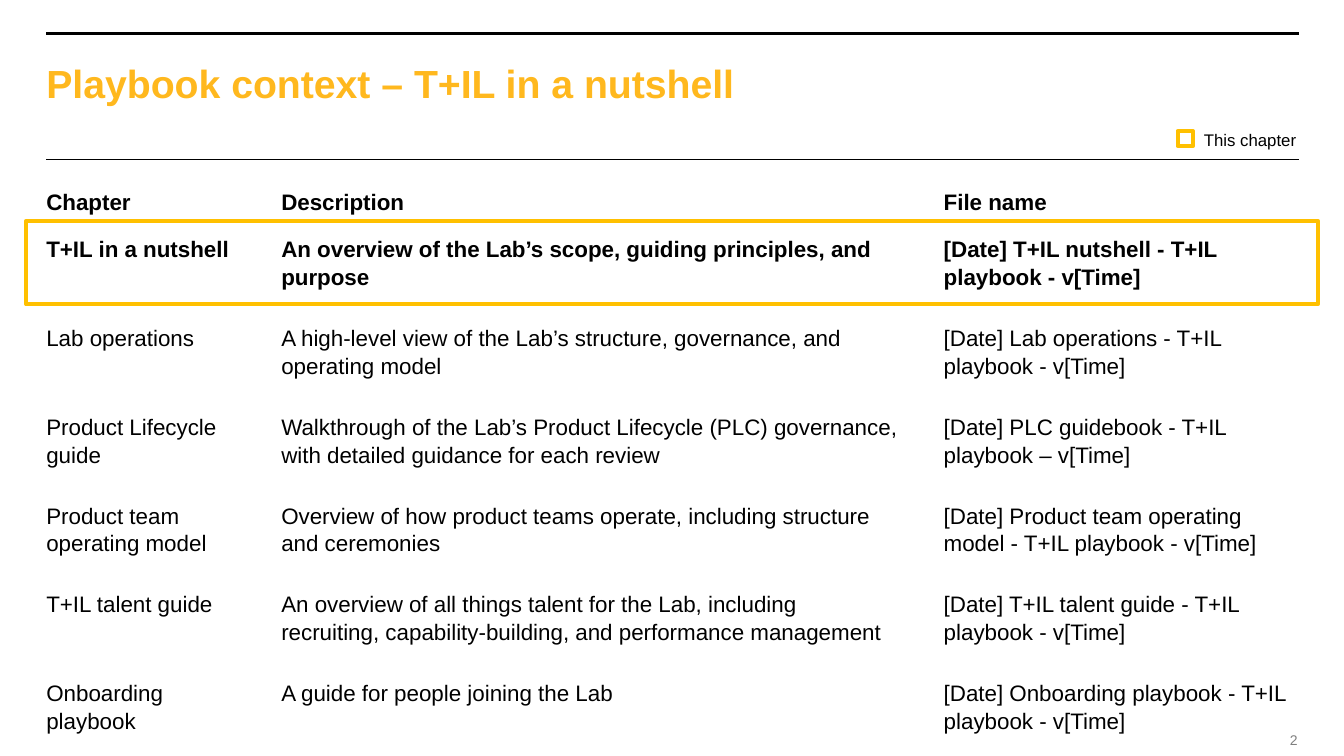
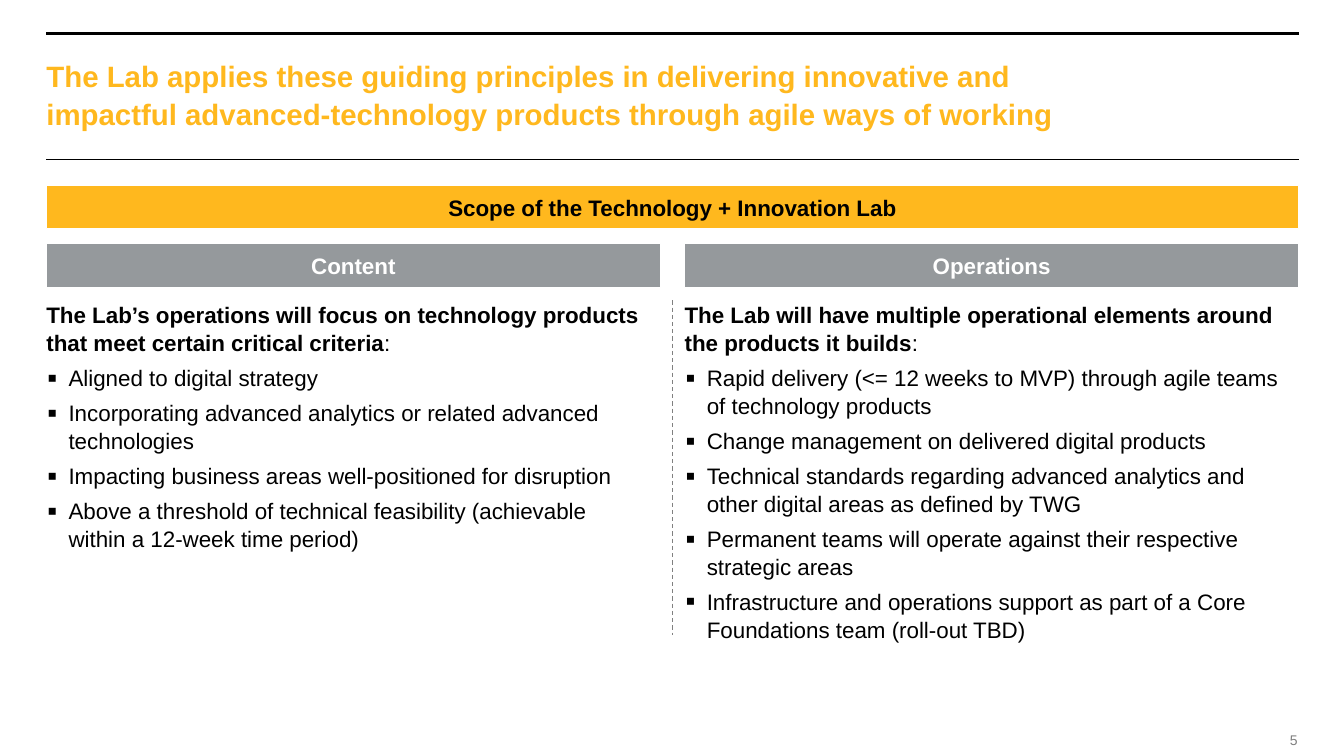
from lxml.etree import SubElement
from pptx import Presentation
from pptx.dml.color import RGBColor
from pptx.enum.dml import MSO_LINE
from pptx.enum.shapes import MSO_CONNECTOR, MSO_SHAPE
from pptx.enum.text import MSO_ANCHOR, MSO_AUTO_SIZE, PP_ALIGN
from pptx.oxml.ns import qn
from pptx.util import Inches, Pt

COLORS = {
    "black": "000000",
    "white": "FFFFFF",
    "gold": "FFB81E",
    "marker": "FFC000",
    "gray": "95999C",
    "divider": "808080",
    "page": "7F7F7F",
}
TEXT_STYLES = {
    "title": {"size": Pt(28), "bold": True},
    "long title": {"size": Pt(21), "bold": True},
    "body": {"size": Pt(16), "bold": False},
    "strong": {"size": Pt(16), "bold": True},
    "legend": {"size": Pt(12), "bold": False},
    "page": {"size": Pt(10), "bold": False},
}
LEFT, RIGHT = 0.46, 12.88
WIDTH = RIGHT - LEFT


class Deck:
    """Shared style plus the slide being built."""

    font = "Arial"
    title_spacing, body_spacing = 1.06, 1.04

    def __init__(self):
        self.file = Presentation()
        self.file.slide_width = Inches(13.33)
        self.file.slide_height = Inches(7.5)
        self.slide = None

    def color(self, name):
        return RGBColor.from_string(COLORS[name])

    def add_slide(self, title, page, style="title", title_height=0.47):
        self.slide = self.file.slides.add_slide(self.file.slide_layouts[6])
        # Page number, rules and title
        self.text(page, 12.7, 7.25, 0.17, 0.17, "page", "page",
                  align=PP_ALIGN.RIGHT, anchor=MSO_ANCHOR.MIDDLE, wrap=False)
        for y, weight in ((0.33, 2.5), (1.58, 1)):
            self.line((RIGHT, y), (LEFT, y), "black", weight)
        self.text(title, LEFT, 0.56, 10.81, title_height, style, "gold",
                  spacing=self.title_spacing)

    def run(self, paragraph, text, style, color="black"):
        run = paragraph.add_run()
        run.text = text
        run.font.name = self.font
        run.font.color.rgb = self.color(color)
        for attribute, value in TEXT_STYLES[style].items():
            setattr(run.font, attribute, value)

    def frame(self, x, y, width, height, **changes):
        box = self.slide.shapes.add_textbox(
            Inches(x), Inches(y), Inches(width), Inches(height))
        settings = {
            "margin_left": 0, "margin_right": 0,
            "margin_top": 0, "margin_bottom": 0,
            "word_wrap": True, "auto_size": MSO_AUTO_SIZE.SHAPE_TO_FIT_TEXT,
        } | changes
        for attribute, value in settings.items():
            setattr(box.text_frame, attribute, value)
        return box.text_frame

    def text(self, text, x, y, width, height, style="body", color="black",
             align=PP_ALIGN.LEFT, anchor=MSO_ANCHOR.TOP, wrap=True, spacing=None):
        frame = self.frame(x, y, width, height,
                           vertical_anchor=anchor, word_wrap=wrap)
        paragraph = frame.paragraphs[0]
        paragraph.alignment = align
        paragraph.line_spacing = spacing or self.body_spacing
        self.run(paragraph, text, style, color)

    def rectangle(self, x, y, width, height, fill=None, outline="white", weight=0.75):
        shape = self.slide.shapes.add_shape(
            MSO_SHAPE.RECTANGLE, Inches(x), Inches(y), Inches(width), Inches(height))
        shape.shadow.inherit = False
        if fill:
            shape.fill.solid()
            shape.fill.fore_color.rgb = self.color(fill)
        else:
            shape.fill.background()
        shape.line.color.rgb = self.color(outline)
        shape.line.width = Pt(weight)
        return shape

    def band(self, text, x, y, width, fill, color):
        frame = self.rectangle(x, y, width, 0.43, fill).text_frame
        margin = Inches(0.08)
        settings = {
            "margin_left": margin, "margin_right": margin,
            "margin_top": margin, "margin_bottom": margin,
            "vertical_anchor": MSO_ANCHOR.MIDDLE, "word_wrap": True,
        }
        for attribute, value in settings.items():
            setattr(frame, attribute, value)
        frame.paragraphs[0].alignment = PP_ALIGN.CENTER
        self.run(frame.paragraphs[0], text, "strong", color)

    def line(self, start, end, color, weight, dash=None):
        points = [Inches(value) for value in (*start, *end)]
        rule = self.slide.shapes.add_connector(MSO_CONNECTOR.STRAIGHT, *points)
        rule.line.color.rgb = self.color(color)
        rule.line.width = Pt(weight)
        if dash:
            rule.line.dash_style = dash
        SubElement(rule._element.spPr, qn("a:effectLst"))

    def bullet(self, paragraph):
        properties = paragraph._p.get_or_add_pPr()
        properties.set("marL", str(Inches(0.22)))
        properties.set("indent", str(Inches(-0.21)))
        bullet_color = SubElement(properties, qn("a:buClr"))
        SubElement(bullet_color, qn("a:srgbClr"), val=COLORS["black"])
        SubElement(properties, qn("a:buSzPct"), val="125000")
        SubElement(properties, qn("a:buFont"), typeface=self.font)
        SubElement(properties, qn("a:buChar"), char="▪")

    def bullet_list(self, lead, items, x, y, width, height):
        frame = self.frame(x, y, width, height, auto_size=MSO_AUTO_SIZE.NONE)
        for index, item in enumerate([lead, *items]):
            paragraph = frame.add_paragraph() if index else frame.paragraphs[0]
            paragraph.space_before = Pt(5)
            paragraph.line_spacing = self.body_spacing
            if index:
                self.bullet(paragraph)
                self.run(paragraph, item, "body")
            else:
                self.run(paragraph, lead, "strong")
                self.run(paragraph, ":", "body")


deck = Deck()

# Slide 1: playbook chapters
CHAPTER_COLUMNS = ((LEFT, 2.06), (2.79, 6.13), (9.36, 3.49))
HEADINGS = ("Chapter", "Description", "File name")
CHAPTERS = (
    ("T+IL in a nutshell",
     "An overview of the Lab’s scope, guiding principles, and purpose",
     "[Date] T+IL nutshell - T+IL playbook - v[Time]"),
    ("Lab operations",
     "A high-level view of the Lab’s structure, governance, and operating model",
     "[Date] Lab operations - T+IL playbook - v[Time]"),
    ("Product Lifecycle guide",
     "Walkthrough of the Lab’s Product Lifecycle (PLC) governance, "
     "with detailed guidance for each review",
     "[Date] PLC guidebook - T+IL playbook – v[Time]"),
    ("Product team operating model",
     "Overview of how product teams operate, including structure and ceremonies",
     "[Date] Product team operating model - T+IL playbook - v[Time]"),
    ("T+IL talent guide",
     "An overview of all things talent for the Lab, including recruiting, "
     "capability-building, and performance management",
     "[Date] T+IL talent guide - T+IL playbook - v[Time]"),
    ("Onboarding playbook",
     "A guide for people joining the Lab",
     "[Date] Onboarding playbook - T+IL playbook - v[Time]"),
)
FIRST_ROW, ROW_STEP = 2.32, 0.882

deck.add_slide("Playbook context – T+IL in a nutshell", "2")

# Current chapter marker and its legend
deck.rectangle(0.26, 2.19, 12.81, 0.83, outline="marker", weight=3)
deck.rectangle(11.68, 1.3, 0.15, 0.15, outline="marker", weight=3)
deck.text("This chapter", 11.94, 1.28, 1.01, 0.2, "legend")

# Headings and chapter rows
for (x, width), heading in zip(CHAPTER_COLUMNS, HEADINGS):
    deck.text(heading, x, 1.86, width, 0.27, "strong")
for row, chapter in enumerate(CHAPTERS):
    for (x, width), entry in zip(CHAPTER_COLUMNS, chapter):
        deck.text(entry, x, FIRST_ROW + row * ROW_STEP, width, 0.54,
                  "body" if row else "strong")

# Slide 2: guiding principles
COLUMN_WIDTH = 6.09
PRINCIPLES = (
    ("Content", LEFT, 5.92,
     "The Lab’s operations will focus on technology products "
     "that meet certain critical criteria",
     ("Aligned to digital strategy",
      "Incorporating advanced analytics or related advanced technologies",
      "Impacting business areas well-positioned for disruption",
      "Above a threshold of technical feasibility "
      "(achievable within a 12-week time period)")),
    ("Operations", RIGHT - COLUMN_WIDTH, 6.08,
     "The Lab will have multiple operational elements around the products it builds",
     ("Rapid delivery (<= 12 weeks to MVP) through agile teams of technology products",
      "Change management on delivered digital products",
      "Technical standards regarding advanced analytics and other digital areas "
      "as defined by TWG",
      "Permanent teams will operate against their respective strategic areas",
      "Infrastructure and operations support as part of a Core Foundations team "
      "(roll-out TBD)")),
)

deck.add_slide(
    "The Lab applies these guiding principles in delivering innovative and impactful "
    "advanced-technology products through agile ways of working",
    "5", "long title", 0.71)
deck.band("Scope of the Technology + Innovation Lab", LEFT, 1.84, WIDTH, "gold", "black")
for heading, x, text_width, lead, items in PRINCIPLES:
    deck.band(heading, x, 2.42, COLUMN_WIDTH, "gray", "white")
    deck.bullet_list(lead, items, x, 2.98, text_width, 3.31)

# Divider midway between the columns
middle = (LEFT + RIGHT) / 2
deck.line((middle, 2.98), (middle, 6.3), "divider", 0.75, MSO_LINE.DASH)

deck.file.save("out.pptx")
